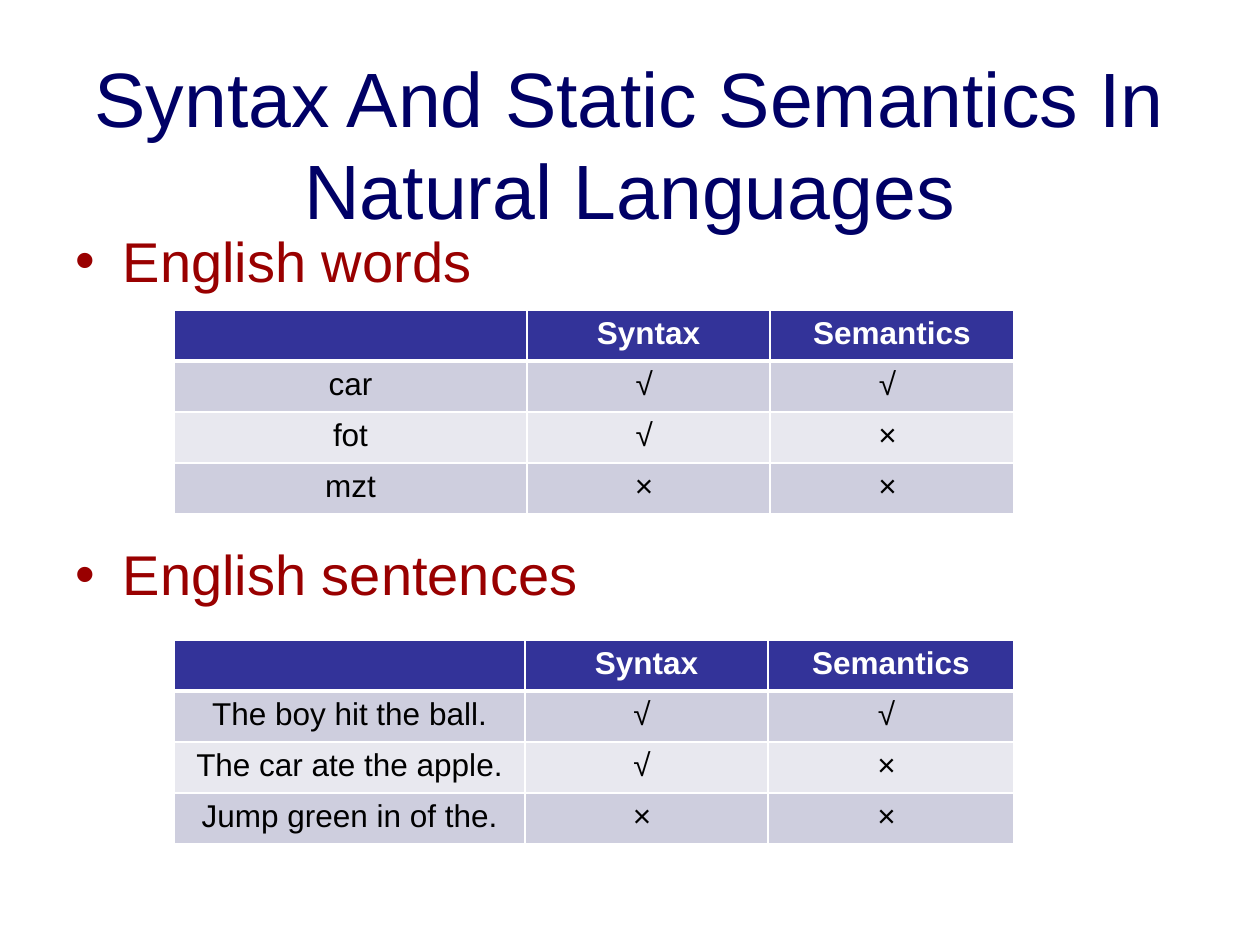
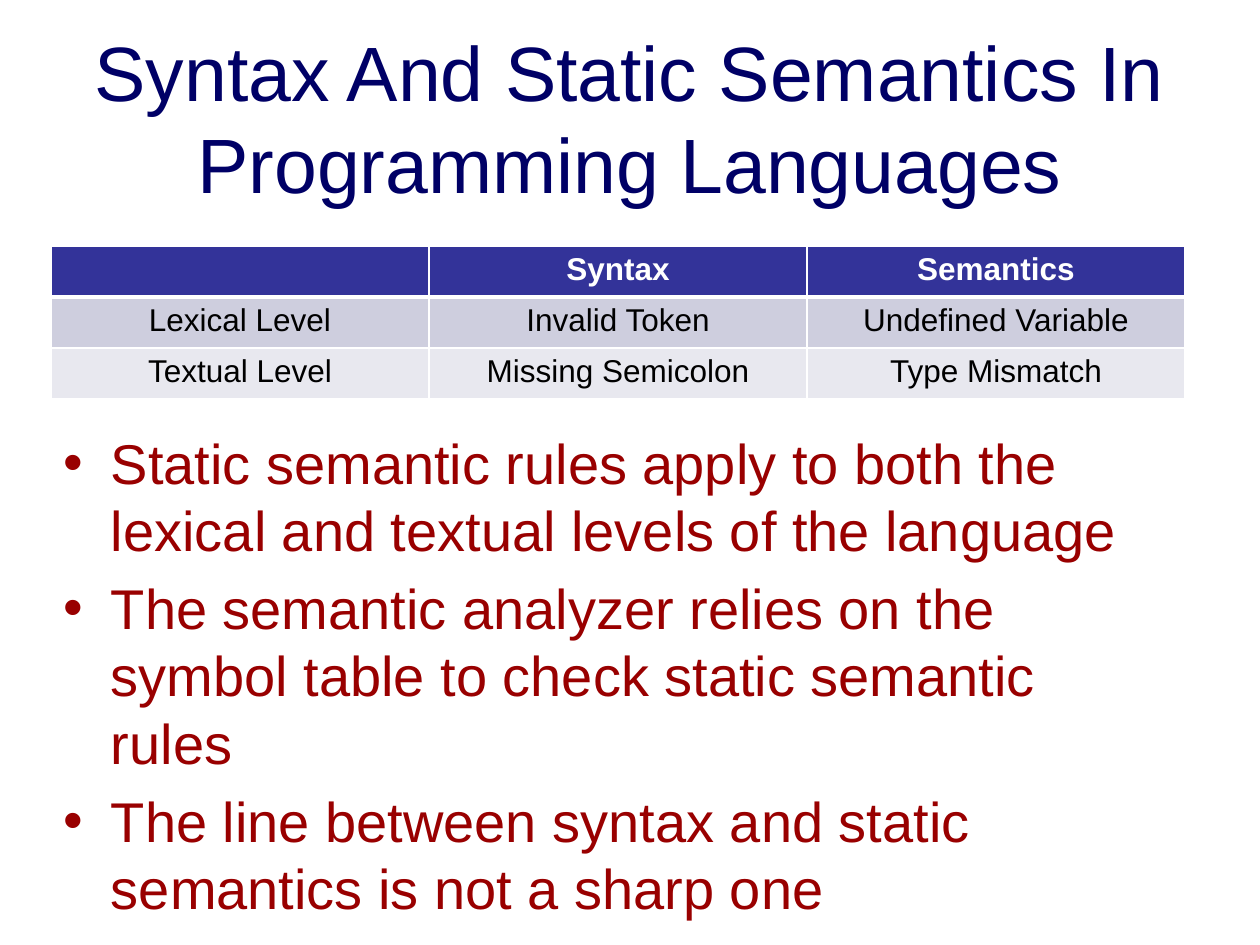
from lxml import etree
from pptx import Presentation
from pptx.dml.color import RGBColor
from pptx.enum.text import MSO_ANCHOR, MSO_AUTO_SIZE, PP_ALIGN
from pptx.oxml.ns import qn
from pptx.util import Pt

EMU_PER_PX = 914400 / 126
SLIDE_SIZE = (1260, 945)
TITLE_AND_CONTENT = 1
CENTER = PP_ALIGN.CENTER
TOP, MIDDLE = MSO_ANCHOR.TOP, MSO_ANCHOR.MIDDLE
NO_AUTOFIT = MSO_AUTO_SIZE.NONE

NAVY = RGBColor(0x00, 0x00, 0x66)
CRIMSON = RGBColor(0x99, 0x00, 0x00)
INDIGO = RGBColor(0x33, 0x33, 0x99)
LAVENDER = RGBColor(0xCE, 0xCE, 0xDE)
MIST = RGBColor(0xE8, 0xE8, 0xEF)
WHITE = RGBColor(0xFF, 0xFF, 0xFF)
BLACK = RGBColor(0x00, 0x00, 0x00)

FONT = "Arial"
TITLE_FONT = {"name": FONT, "size": Pt(44), "color": NAVY}
LIST_FONT = {"name": FONT, "size": Pt(32), "color": CRIMSON}
HEAD_FONT = {"name": FONT, "size": Pt(18), "color": WHITE, "bold": True}
CELL_FONT = {"name": FONT, "size": Pt(18), "color": BLACK, "bold": False}

ROW_HEIGHT = 51
CELL_MARGIN = 6
THIN, THICK = Pt(1), Pt(3)
LIST_GAP = Pt(6.4)

HEADINGS = ("", "Syntax", "Semantics")
VALID, INVALID = "√ ", "× "


def px(length):
    return round(length * EMU_PER_PX)


def apply_format(target, values):
    for name, value in values.items():
        if name == "color":
            target.color.rgb = value
        else:
            setattr(target, name, value)


def set_borders(cell, widths):
    properties = cell._tc.get_or_add_tcPr()
    for side, width in widths.items():
        line = etree.SubElement(properties, qn(f"a:ln{side}"), w=str(width))
        fill = etree.SubElement(line, qn("a:solidFill"))
        etree.SubElement(fill, qn("a:srgbClr"), val=str(WHITE))


class SlideBuilder:
    def __init__(self, deck):
        self.deck = deck
        self.page = None

    def add_page(self):
        layout = self.deck.slide_layouts[TITLE_AND_CONTENT]
        self.page = self.deck.slides.add_slide(layout)

    def place(self, box, left, top, width, height, anchor):
        bounds = {"left": left, "top": top, "width": width, "height": height}
        apply_format(box, {name: px(value) for name, value in bounds.items()})
        frame = box.text_frame
        apply_format(frame, {"auto_size": NO_AUTOFIT, "word_wrap": True,
                             "vertical_anchor": anchor})
        return frame

    def title(self, text, top):
        frame = self.place(self.page.shapes.title, 63, top, 1134, 157, MIDDLE)
        para = frame.paragraphs[0]
        para.alignment = CENTER
        self.add_span(para, text, TITLE_FONT)

    def bullets(self, items, left, top, gap=LIST_GAP, inset=6):
        frame = self.place(self.page.placeholders[1], left, top, 1134, 624, TOP)
        frame.margin_top = px(inset)
        for index, item in enumerate(items):
            para = frame.add_paragraph() if index else frame.paragraphs[0]
            para.space_before = gap if index else LIST_GAP
            self.add_span(para, item, LIST_FONT)

    def table(self, rows, left, top, widths):
        rows = [HEADINGS, *rows]
        grid = self.page.shapes.add_table(
            len(rows), len(widths), px(left), px(top),
            px(sum(widths)), px(ROW_HEIGHT * len(rows))).table
        for column, width in zip(grid.columns, widths):
            column.width = px(width)
        for row_index, values in enumerate(rows):
            for column_index, text in enumerate(values):
                self.fill_cell(grid.cell(row_index, column_index), text, row_index)

    def fill_cell(self, cell, text, row_index):
        is_head = row_index == 0
        set_borders(cell, {"L": THIN, "R": THIN,
                           "T": THICK if row_index == 1 else THIN,
                           "B": THICK if is_head else THIN})
        cell.fill.solid()
        band = LAVENDER if row_index % 2 else MIST
        cell.fill.fore_color.rgb = INDIGO if is_head else band
        for side in ("left", "top", "right", "bottom"):
            setattr(cell, f"margin_{side}", px(CELL_MARGIN))
        para = cell.text_frame.paragraphs[0]
        para.alignment = CENTER
        if text:
            self.add_span(para, text, HEAD_FONT if is_head else CELL_FONT)

    def add_span(self, para, text, values):
        span = para.add_run()
        span.text = text
        apply_format(span.font, values)


def natural_languages(builder):
    builder.add_page()
    builder.title("Syntax And Static Semantics In Natural Languages", top=64)
    builder.bullets(["English words", "English sentences"], 63, 220, gap=Pt(141))
    builder.table([("car", VALID, VALID),
                   ("fot", VALID, INVALID),
                   ("mzt", INVALID, INVALID)], 174, 310, (353, 243, 244))
    builder.table([("The boy hit the ball.", VALID, VALID),
                   ("The car ate the apple.", VALID, INVALID),
                   ("Jump green in of the.", INVALID, INVALID)],
                  174, 640, (351, 243, 246))


def programming_languages(builder):
    builder.add_page()
    builder.title("Syntax And Static Semantics In Programming Languages", top=38)
    builder.bullets([
        "Static semantic rules apply to both the lexical and textual levels of the language",
        "The semantic analyzer relies on the symbol table to check static semantic rules",
        "The line between syntax and static semantics is not a sharp one",
    ], 51, 265, inset=163)
    builder.table([("Lexical Level", "Invalid Token", "Undefined Variable"),
                   ("Textual Level", "Missing Semicolon", "Type Mismatch")],
                  51, 246, (378, 378, 378))


def main():
    deck = Presentation()
    deck.slide_width, deck.slide_height = map(px, SLIDE_SIZE)
    builder = SlideBuilder(deck)
    natural_languages(builder)
    programming_languages(builder)
    deck.save("out.pptx")


if __name__ == "__main__":
    main()
